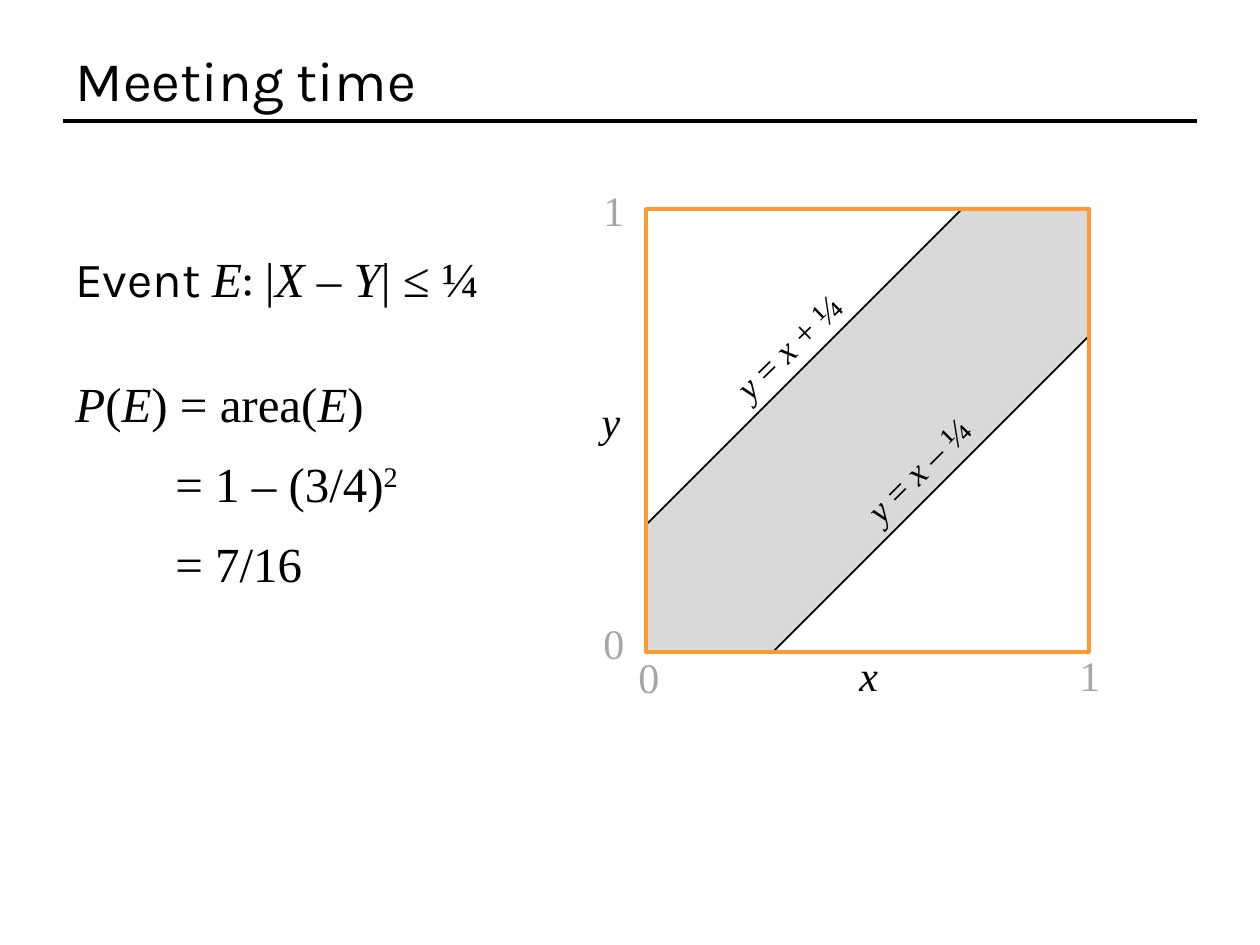
from dataclasses import dataclass

from pptx import Presentation
from pptx.dml.color import RGBColor as RGB
from pptx.enum.shapes import MSO_CONNECTOR as Conn, MSO_SHAPE as Kind
from pptx.enum.text import MSO_ANCHOR as Anchor, MSO_AUTO_SIZE as Fit, PP_ALIGN as Align
from pptx.oxml.ns import qn
from pptx.util import Emu, Pt

SCALE = 914400 / 126


def px(n):
    return Emu(round(n * SCALE))


@dataclass(frozen=True)
class Theme:
    ink: str = "000000"
    grey: str = "A6A6A6"
    band: str = "D9D9D9"
    frame: str = "FF9933"
    sans: str = "Karla"
    serif: str = "Times New Roman"
    title: int = 32
    body: int = 28
    axis: int = 24
    note: int = 20


THEME = Theme()
SANS = {"face": THEME.sans}


def it(text):
    return text, {"slant": True}


def write(frame, *parts, size=THEME.body, color=THEME.ink, face=THEME.serif,
          align=Align.LEFT):
    """Fill a frame with one line; a part is a string or (string, style)."""
    para = frame.paragraphs[0]
    para.alignment = align
    for part in parts:
        text, style = (part, {}) if isinstance(part, str) else part
        run = para.add_run()
        run.text = text
        font = run.font
        font.name = style.get("face", face)
        font.size = Pt(size)
        font.color.rgb = RGB.from_string(color)
        font.italic = style.get("slant", False)
        if "raise" in style:
            font._element.set("baseline", str(style["raise"] * 1000))


class Board:
    def __init__(self, deck, theme):
        self.theme = theme
        self.slide = deck.slides.add_slide(deck.slide_layouts[5])
        self.shapes = self.slide.shapes

    def title(self, text, x, y, w, h):
        head = self.shapes.title
        head.left, head.top, head.width, head.height = map(px, (x, y, w, h))
        head.text_frame.vertical_anchor = Anchor.MIDDLE
        write(head.text_frame, text, size=self.theme.title, face=self.theme.sans)

    def text(self, x, y, w, h, *parts, wrap=False, turn=0, **style):
        box = self.shapes.add_textbox(*map(px, (x, y, w, h)))
        box.rotation = turn
        box.text_frame.word_wrap = wrap
        box.text_frame.auto_size = Fit.SHAPE_TO_FIT_TEXT
        write(box.text_frame, *parts, **style)

    def line(self, start, end, width):
        rule = self.shapes.add_connector(Conn.STRAIGHT, *map(px, (*start, *end)))
        rule.line.color.rgb = RGB.from_string(self.theme.ink)
        rule.line.width = Pt(width)
        props = rule._element.spPr
        props.append(props.makeelement(qn("a:effectLst"), {}))

    def area(self, points, color):
        pen = self.shapes.build_freeform(*points[0], scale=SCALE)
        pen.add_line_segments(points[1:], close=True)
        shape = pen.convert_to_shape()
        shape.shadow.inherit = False
        shape.fill.solid()
        shape.fill.fore_color.rgb = RGB.from_string(color)
        shape.line.fill.background()

    def frame(self, x, y, w, h, color, width):
        shape = self.shapes.add_shape(Kind.RECTANGLE, *map(px, (x, y, w, h)))
        shape.shadow.inherit = False
        shape.fill.background()
        shape.line.color.rgb = RGB.from_string(color)
        shape.line.width = Pt(width)


def plot(board):
    """Draw the unit square with the band |x - y| <= 1/4."""
    theme = board.theme
    left, top, side, cut = 646, 209, 443, 127
    right, base = left + side, top + side
    upper = (left, base - cut), (right - cut, top)
    lower = (left + cut, base), (right, top + cut)

    board.area([*upper, (right, top), *reversed(lower), (left, base)], theme.band)
    for ends in (upper, lower):
        board.line(*ends, 1)
    note = {"size": theme.note, "align": Align.CENTER}
    board.text(702, 316, 179, 55, it("y"), " = ", it("x"), " + ¼ ", turn=315.9, **note)
    board.text(834, 442, 168, 55, it("y"), " = ", it("x "), "– ¼", turn=315.1, **note)
    board.frame(left, top, side, side, theme.frame, 2)

    board.text(847, 643, 50, 63, it("x"), size=theme.axis)
    board.text(586, 389, 50, 63, it("y"), size=theme.axis, align=Align.CENTER)
    for x, y, mark in ((626, 645, "0"), (1067, 643, "1"),
                       (591, 178, "1"), (591, 611, "0")):
        board.text(x, y, 45, 63, mark, size=theme.axis, color=theme.grey)


def main():
    deck = Presentation()
    deck.slide_width, deck.slide_height = px(1260), px(945)
    board = Board(deck, THEME)
    board.line((63, 121), (1197, 121), 2)
    board.title("Meeting time", 63, 38, 1134, 83)
    board.text(63, 242, 496, 72, ("Event ", SANS), it("E"), (": ", SANS), "|",
               it("X"), " – ", it("Y"), "| ≤ ¼", wrap=True)
    steps = (
        (63, 315, (it("P"), "(", it("E"), ") = area(", it("E"), ")")),
        (163, 267, ("= 1 – (3/4)", ("2", {"raise": 30}))),
        (163, 165, ("= 7/16",)),
    )
    for i, (x, w, parts) in enumerate(steps):
        board.text(x, 367 + 80 * i, w, 72, *parts)
    plot(board)
    deck.save("out.pptx")


if __name__ == "__main__":
    main()
